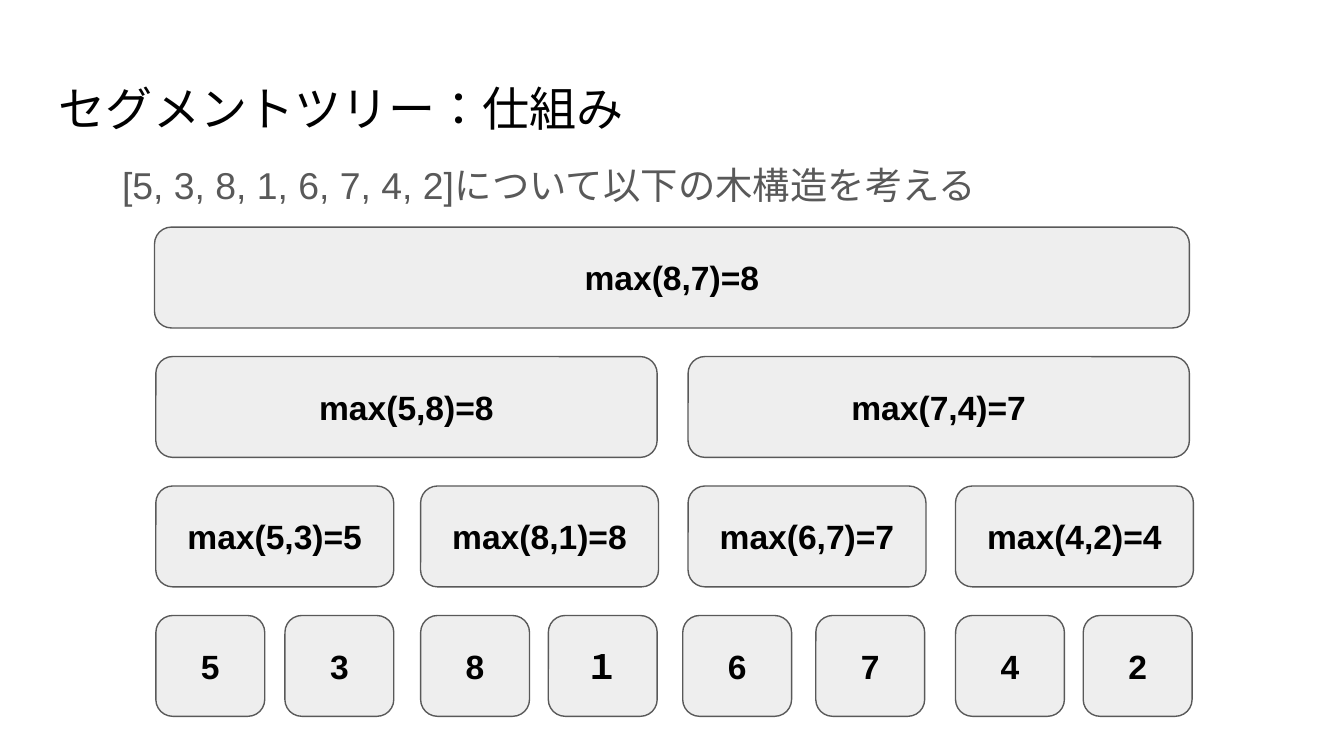
from pptx import Presentation
from pptx.dml.color import RGBColor
from pptx.enum.lang import MSO_LANGUAGE_ID
from pptx.enum.shapes import MSO_SHAPE
from pptx.enum.text import MSO_ANCHOR, PP_ALIGN
from pptx.util import Inches, Pt

ROUNDED = MSO_SHAPE.ROUNDED_RECTANGLE
MIDDLE = MSO_ANCHOR.MIDDLE
CENTER = PP_ALIGN.CENTER
JAPANESE = MSO_LANGUAGE_ID.JAPANESE

BLACK = RGBColor(0x00, 0x00, 0x00)
GRAY = RGBColor(0x59, 0x59, 0x59)
LIGHT_GRAY = RGBColor(0xEE, 0xEE, 0xEE)

FONT = "Arial"
SLIDE_WIDTH = 10
ROOT_TOP = 1.69
LEAF_TOP = 4.58
NODE_HEIGHT = 0.75

# Each level from root to leaves: node width, then (left, label) per node.
TREE_LEVELS = [
    (7.7, [(1.15, "max(8,7)=8")]),
    (3.73, [(1.16, "max(5,8)=8"), (5.12, "max(7,4)=7")]),
    (1.77, [(1.16, "max(5,3)=5"), (3.13, "max(8,1)=8"),
            (5.12, "max(6,7)=7"), (7.11, "max(4,2)=4")]),
    (0.81, [(1.16, "5"), (2.12, "3"), (3.13, "8"), (4.08, "１"),
            (5.08, "6"), (6.07, "7"), (7.11, "4"), (8.06, "2")]),
]


def write_text(shape, text, size, color, bold=False):
    """Fill the shape's first paragraph with one run and return the paragraph."""
    frame = shape.text_frame
    frame.word_wrap = True
    frame.margin_left = frame.margin_right = Inches(0.1)
    frame.margin_top = frame.margin_bottom = Inches(0.1)
    paragraph = frame.paragraphs[0]
    run = paragraph.add_run()
    run.text = text
    run.font.name = FONT
    run.font.size = Pt(size)
    run.font.bold = bold
    run.font.color.rgb = color
    run.font.language_id = JAPANESE
    return paragraph


def add_text(slide, left, top, width, height, text, size, color):
    box = slide.shapes.add_textbox(
        Inches(left), Inches(top), Inches(width), Inches(height))
    write_text(box, text, size, color)


def add_node(slide, left, top, width, label):
    node = slide.shapes.add_shape(
        ROUNDED, Inches(left), Inches(top), Inches(width), Inches(NODE_HEIGHT))
    node.shadow.inherit = False
    node.fill.solid()
    node.fill.fore_color.rgb = LIGHT_GRAY
    node.line.color.rgb = GRAY
    node.line.width = Pt(0.75)
    node.text_frame.vertical_anchor = MIDDLE
    write_text(node, label, 18, BLACK, bold=True).alignment = CENTER


def add_tree(slide):
    step = (LEAF_TOP - ROOT_TOP) / (len(TREE_LEVELS) - 1)
    for level, (width, nodes) in enumerate(TREE_LEVELS):
        for left, label in nodes:
            add_node(slide, left, ROOT_TOP + level * step, width, label)


def main():
    presentation = Presentation()
    presentation.slide_width = Inches(SLIDE_WIDTH)
    presentation.slide_height = Inches(SLIDE_WIDTH * 9 / 16)
    slide = presentation.slides.add_slide(presentation.slide_layouts[6])

    add_text(slide, 0.34, 0.49, 9.32, 0.63,
             "セグメントツリー：仕組み", 25.2, BLACK)
    add_text(slide, 0.81, 1.11, 8.38, 0.54,
             "[5, 3, 8, 1, 6, 7, 4, 2]について以下の木構造を考える", 20, GRAY)
    add_tree(slide)

    presentation.save("out.pptx")


if __name__ == "__main__":
    main()
